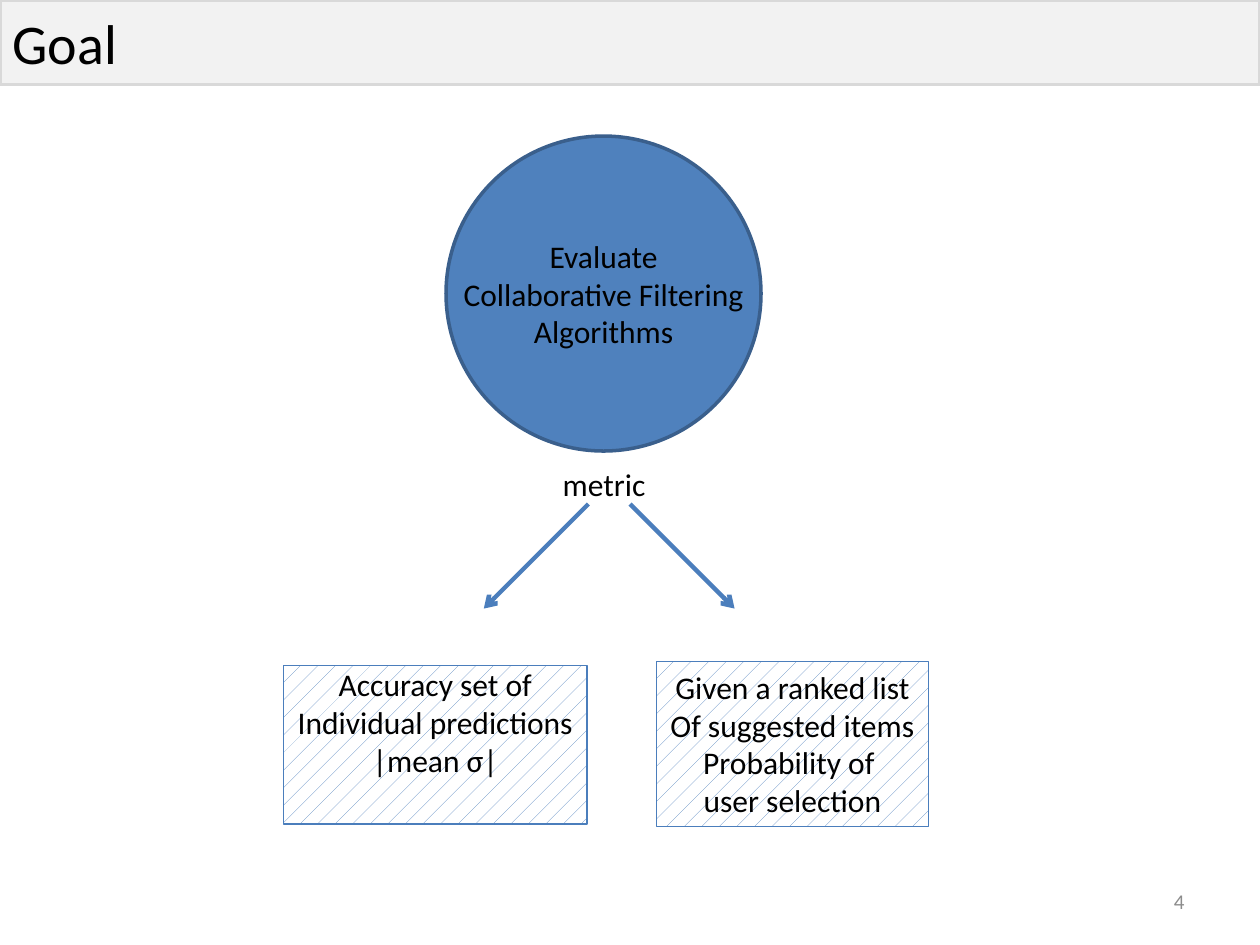
from lxml import etree
from pptx import Presentation
from pptx import util as u
from pptx.dml.color import RGBColor
from pptx.enum import dml, shapes, text
from pptx.oxml.ns import qn

W, H = 10, 7.5
BLUE, EDGE = "4F81BD", "4B7EBC"
CENTER = text.PP_ALIGN.CENTER


def rgb(value):
    """Return the colour for a hex string."""
    return RGBColor.from_string(value)


def inches(*values):
    """Return lengths given in inches."""
    return [u.Inches(v) for v in values]


def outline(sp, color, width):
    """Set the line colour and width of a shape."""
    sp.line.color.rgb = rgb(color)
    sp.line.width = u.Pt(width)


def write(sp, lines, size=18, color="000000", align=CENTER,
          anchor=text.MSO_ANCHOR.TOP, wrap=True):
    """Write one paragraph for each line into a shape."""
    tf = sp.text_frame
    tf.word_wrap = wrap
    tf.vertical_anchor = anchor
    for i, line in enumerate(lines):
        p = tf.add_paragraph() if i else tf.paragraphs[0]
        p.alignment = align
        r = p.add_run()
        r.text = line
        r.font.name = "Calibri"
        r.font.size = u.Pt(size)
        r.font.color.rgb = rgb(color)


def label(s, box, lines, **style):
    """Add a plain text box."""
    write(s.shapes.add_textbox(*inches(*box)), lines, **style)


def title_bar(s, box, title):
    """Turn the title placeholder into a bar."""
    sp = s.shapes.title
    sp.left, sp.top, sp.width, sp.height = inches(*box)
    sp.fill.solid()
    sp.fill.fore_color.rgb = rgb("F2F2F2")
    outline(sp, "D9D9D9", 2)
    write(sp, [title], size=32, align=text.PP_ALIGN.LEFT,
          anchor=text.MSO_ANCHOR.MIDDLE)


def goal_circle(s, box, lines):
    """Draw the goal circle with its wider caption across the middle."""
    left, top, width, height = box
    sp = s.shapes.add_shape(shapes.MSO_SHAPE.OVAL, *inches(*box))
    sp.shadow.inherit = False
    sp.fill.solid()
    sp.fill.fore_color.rgb = rgb(BLUE)
    outline(sp, "3A5F8C", 2)
    label(s, (left - 0.46, top + 0.3 * height, width + 0.92, 0.4 * height), lines)


def branch(s, start, dx, dy):
    """Draw an arrow from a start point by an offset."""
    x, y = start
    line = s.shapes.add_connector(shapes.MSO_CONNECTOR.STRAIGHT,
                                  *inches(x, y, x + dx, y + dy))
    outline(line, EDGE, 2.5)
    etree.SubElement(line.line._get_or_add_ln(), qn("a:tailEnd"), type="arrow")
    etree.SubElement(line._element.spPr, qn("a:effectLst"))


def metric_box(s, box, lines, inset=0.05, wrap=True):
    """Draw a hatched box that describes one metric."""
    sp = s.shapes.add_shape(shapes.MSO_SHAPE.RECTANGLE, *inches(*box))
    sp.shadow.inherit = False
    sp.fill.patterned()
    sp.fill.pattern = dml.MSO_PATTERN.PERCENT_5
    sp.fill.fore_color.rgb = rgb(BLUE)
    sp.fill.back_color.rgb = rgb("FFFFFF")
    outline(sp, EDGE, 0.75)
    sp.text_frame.margin_top = u.Inches(inset)
    write(sp, lines, wrap=wrap)


def main():
    """Build the goal slide."""
    prs = Presentation()
    prs.slide_width, prs.slide_height = inches(W, H)
    s = prs.slides.add_slide(prs.slide_layouts[5])
    title_bar(s, (0, 0, W, 0.67), "Goal")
    goal_circle(s, (3.54, 1.08, W / 4, W / 4),
                ["Evaluate", "Collaborative Filtering", "Algorithms"])
    label(s, (4.36, 3.64, 0.87, 0.4), ["metric"], wrap=False)
    for x, dx in ((4.67, -0.83), (5, 0.83)):
        branch(s, (x, 4), dx, 0.83)
    metric_box(s, (2.25, 5.28, 2.41, 1.26),
               ["Accuracy set of", "Individual predictions", "|mean σ|"], inset=0)
    metric_box(s, (5.21, 5.25, 2.16, 1.31),
               ["Given a ranked list", "Of suggested items",
                "Probability of ", "user selection"], wrap=False)
    label(s, (7.17, 6.95, 2.33, 0.4), ["4"], size=12, color="8C8C8C",
          align=text.PP_ALIGN.RIGHT, anchor=text.MSO_ANCHOR.MIDDLE)
    prs.save("out.pptx")


if __name__ == "__main__":
    main()
